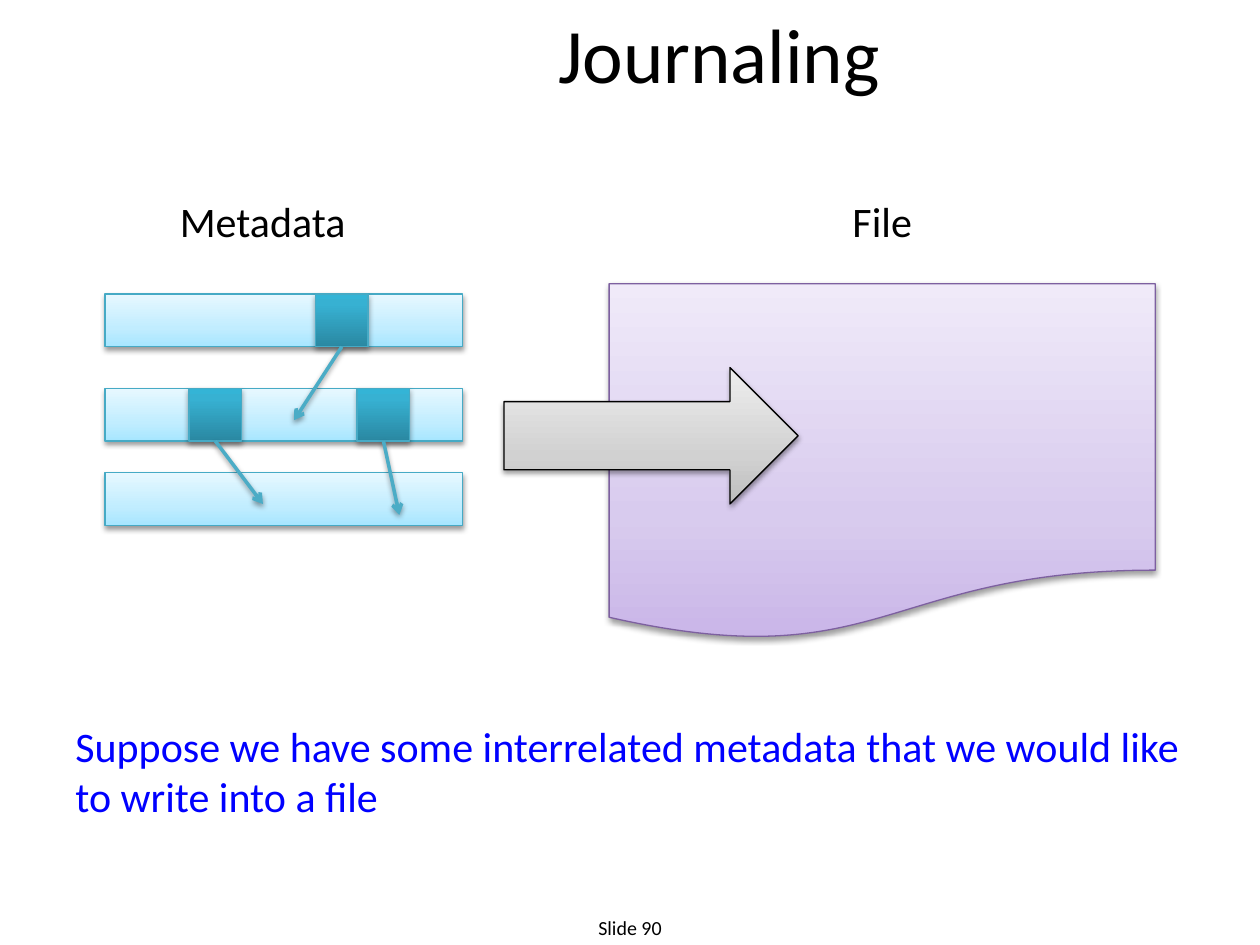
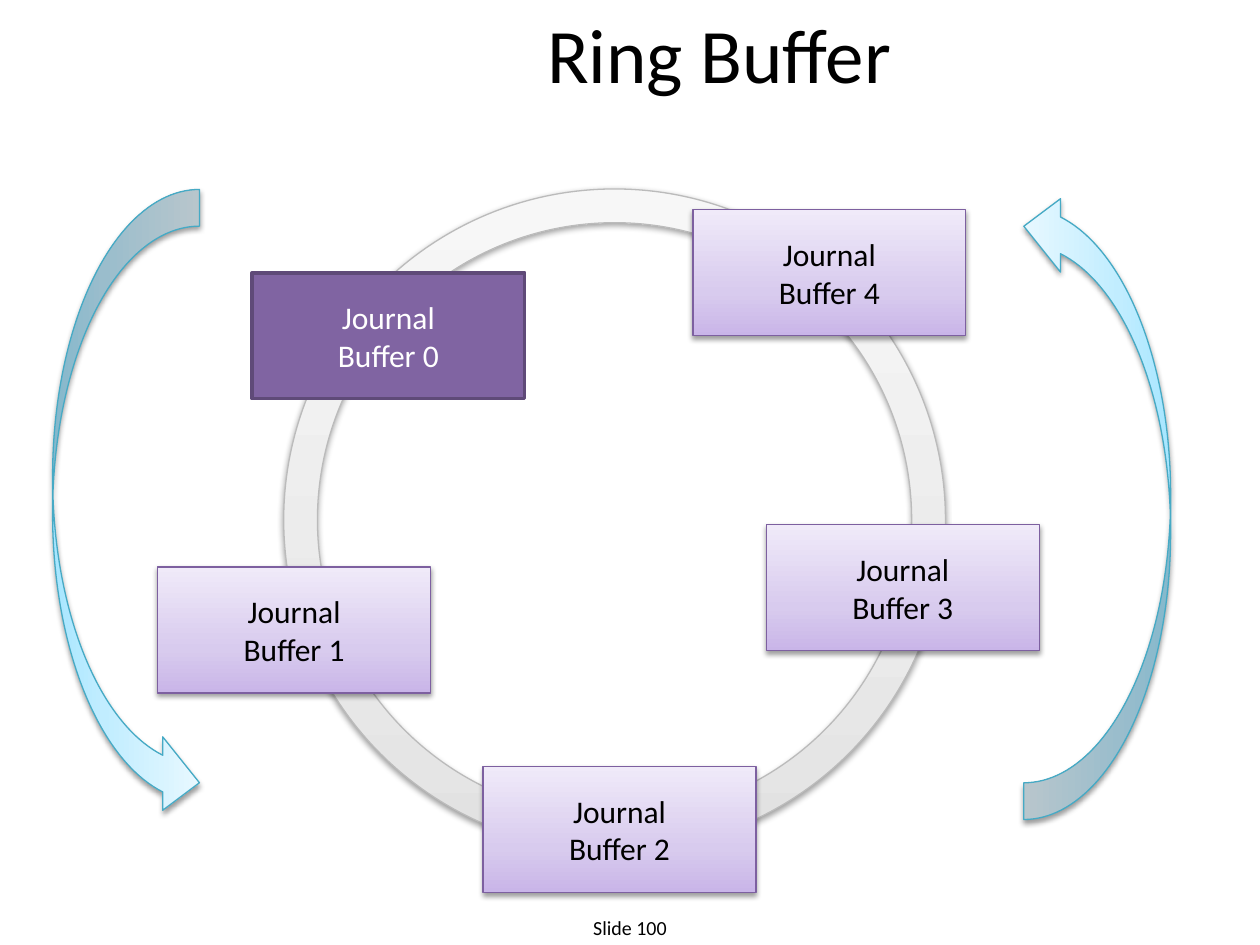
import copy

import pptx
import pptx.dml.color
import pptx.enum.shapes
import pptx.enum.text
import pptx.oxml
import pptx.oxml.ns
import pptx.util
from lxml import etree

Cm = pptx.util.Cm
Pt = pptx.util.Pt
RGB = pptx.dml.color.RGBColor
SHAPE = pptx.enum.shapes.MSO_SHAPE
ALIGN = pptx.enum.text.PP_ALIGN
ANCHOR = pptx.enum.text.MSO_ANCHOR
qn = pptx.oxml.ns.qn

FONT = "Calibri"
BLACK = RGB(0x00, 0x00, 0x00)
WHITE = RGB(0xFF, 0xFF, 0xFF)
BLUE = RGB(0x00, 0x00, 0xFF)
POINTER_TEAL = RGB(0x4B, 0xAC, 0xC6)
TEAL_EDGE = RGB(0x46, 0xAA, 0xC5)
PURPLE_EDGE = RGB(0x7D, 0x60, 0xA0)
RING_EDGE = RGB(0xBB, 0xBB, 0xBB)
ACTIVE_FILL = RGB(0x80, 0x64, 0xA2)
ACTIVE_EDGE = RGB(0x5F, 0x4A, 0x78)

# Gradients run from the bottom to the top: (position, colour)
PURPLE = [(0, RGB(0xC9, 0xB5, 0xE8)), (0.35, RGB(0xD8, 0xCB, 0xEE)), (1, RGB(0xF0, 0xEA, 0xF9))]
PALE_TEAL = [(0, RGB(0xA7, 0xE6, 0xFF)), (0.35, RGB(0xC1, 0xED, 0xFF)), (1, RGB(0xE7, 0xF8, 0xFF))]
DEEP_TEAL = [(0, RGB(0x2A, 0x88, 0xA2)), (0.8, RGB(0x37, 0xB1, 0xD2)), (1, RGB(0x34, 0xB4, 0xD6))]
GREY = [(0, RGB(0xBD, 0xBD, 0xBD)), (0.35, RGB(0xD1, 0xD1, 0xD1)), (1, RGB(0xEE, 0xEE, 0xEE))]
PALE_GREY = [(0, RGB(0xE2, 0xE2, 0xE2)), (0.35, RGB(0xEA, 0xEA, 0xEA)), (1, RGB(0xF7, 0xF7, 0xF7))]

SOFT_SHADOW = (38, 1.6)  # opacity in percent, distance in points
DEEP_SHADOW = (35, 1.8)


def write_text(frame, text, size=18, color=BLACK, align=ALIGN.CENTER,
               anchor=ANCHOR.TOP, line_spacing=1.0):
    frame.word_wrap = True
    frame.vertical_anchor = anchor
    frame.text = text
    for paragraph in frame.paragraphs:
        paragraph.alignment = align
        paragraph.line_spacing = line_spacing
        paragraph.font.name = FONT
        paragraph.font.size = Pt(size)
        paragraph.font.color.rgb = color


def add_label(slide, box, text, **text_format):
    label = slide.shapes.add_textbox(*map(Cm, box))
    write_text(label.text_frame, text, **text_format)


def fill_gradient(shape, stops):
    shape.fill.gradient()
    shape.fill.gradient_angle = 90
    stop_list = shape._element.spPr.find(".//" + qn("a:gsLst"))
    while len(stop_list) < len(stops):
        stop_list.append(copy.deepcopy(stop_list[0]))
    for stop, (position, color) in zip(shape.fill.gradient_stops, stops):
        stop.position = position
        stop.color.rgb = color


def add_shadow(effects, shadow):
    """Append a shadow that falls straight down to an a:effectLst."""
    opacity, distance = shadow
    outer = etree.SubElement(effects, qn("a:outerShdw"), blurRad=str(Pt(3.1)),
                             dist=str(Pt(distance)), dir="5400000", rotWithShape="0")
    black = etree.SubElement(outer, qn("a:srgbClr"), val="000000")
    etree.SubElement(black, qn("a:alpha"), val=str(opacity * 1000))


def add_block(slide, kind, box, fill, edge, edge_width=0.75, shadow=SOFT_SHADOW):
    """Add a preset shape; fill is one colour or a list of gradient stops."""
    block = slide.shapes.add_shape(kind, *map(Cm, box))
    if isinstance(fill, list):
        fill_gradient(block, fill)
    else:
        block.fill.solid()
        block.fill.fore_color.rgb = fill
    block.line.color.rgb = edge
    block.line.width = Pt(edge_width)
    block.shadow.inherit = False
    if shadow:
        add_shadow(block._element.spPr.find(qn("a:effectLst")), shadow)
    return block


def add_pointer(slide, start, tip):
    pointer = slide.shapes.add_connector(
        pptx.enum.shapes.MSO_CONNECTOR.STRAIGHT, *map(Cm, start + tip))
    pointer.line.color.rgb = POINTER_TEAL
    pointer.line.width = Pt(2)
    properties = pointer._element.spPr
    etree.SubElement(properties.find(qn("a:ln")), qn("a:tailEnd"), type="arrow")
    add_shadow(etree.SubElement(properties, qn("a:effectLst")), SOFT_SHADOW)


def start_slide(deck, title, number):
    slide = deck.slides.add_slide(deck.slide_layouts[6])
    add_label(slide, (10.16, 18.42, 5.08, 0.64), f"Slide {number}", size=11.4, line_spacing=0.8)
    add_label(slide, (3.6, 0, 21.8, 2.12), title, size=44, anchor=ANCHOR.MIDDLE)
    return slide


def draw_metadata(slide, left, top, width):
    """Draw three records, with cells that point into the record below."""
    cell = 1.06
    row_tops = [0, 1.9, 3.6]
    # row of the cell, its offset, and the point it refers to
    references = [(1, 1.69, (3.18, 4.23)), (1, 5.08, (5.93, 4.45)), (0, 4.24, (3.81, 2.54))]
    for row_top in row_tops:
        add_block(slide, SHAPE.RECTANGLE, (left, top + row_top, width, cell), PALE_TEAL, TEAL_EDGE)
    for row, offset, _ in references:
        add_block(slide, SHAPE.RECTANGLE, (left + offset, top + row_tops[row], cell, cell),
                  DEEP_TEAL, TEAL_EDGE, shadow=DEEP_SHADOW)
    for row, offset, (tip_x, tip_y) in references:
        start = (left + offset + cell / 2, top + row_tops[row] + cell)
        add_pointer(slide, start, (left + tip_x, top + tip_y))


def draw_file(slide, left, top, width, height):
    """Draw the file and the arrow that writes into it."""
    add_block(slide, SHAPE.FLOWCHART_DOCUMENT, (left, top, width, height), PURPLE, PURPLE_EDGE)
    add_block(slide, SHAPE.RIGHT_ARROW, (left - 2.12, top + 1.69, 5.93, 2.75), GREY, BLACK)


def build_journaling(deck):
    slide = start_slide(deck, "Journaling", 90)
    add_label(slide, (0.85, 3.81, 8.89, 1.48), "Metadata", size=24)
    add_label(slide, (12.28, 3.81, 11.01, 1.48), "File", size=24)
    draw_file(slide, 12.28, 5.72, 11.01, 7.2)
    draw_metadata(slide, 2.12, 5.93, 7.2)
    add_label(slide, (1.27, 14.39, 23.07, 3.39),
              "Suppose we have some interrelated metadata that we would like to write into a file",
              size=24, color=BLUE, align=ALIGN.LEFT)


def draw_buffers(slide, left, top, active=0):
    """Draw the journal buffers at their offsets from the ring's corner."""
    offsets = [(-0.64, 1.69), (-2.54, 7.62), (4.02, 11.64), (9.73, 6.77), (8.25, 0.42)]
    for number, (x, y) in enumerate(offsets):
        box = (left + x, top + y, 5.5, 2.54)
        if number == active:
            buffer = add_block(slide, SHAPE.RECTANGLE, box, ACTIVE_FILL, ACTIVE_EDGE,
                               edge_width=2, shadow=None)
        else:
            buffer = add_block(slide, SHAPE.RECTANGLE, box, PURPLE, PURPLE_EDGE)
        write_text(buffer.text_frame, f"Journal\nBuffer {number}", anchor=ANCHOR.MIDDLE,
                   color=WHITE if number == active else BLACK)


def draw_turn_arrow(slide, center_x, center_y, rotation):
    length, depth = 12.7, 2.96
    box = (center_x - length / 2, center_y - depth / 2, length, depth)
    add_block(slide, SHAPE.CURVED_UP_ARROW, box, PALE_TEAL, TEAL_EDGE).rotation = rotation


def build_ring_buffer(deck):
    slide = start_slide(deck, "Ring Buffer", 100)
    left, top, diameter = 5.72, 3.81, 13.34
    ring = add_block(slide, SHAPE.DONUT, (left, top, diameter, diameter), PALE_GREY, RING_EDGE)
    ring.adjustments[0] = 0.051
    draw_buffers(slide, left, top)
    for center_x, rotation in ((22.12, 270), (2.54, 90)):
        draw_turn_arrow(slide, center_x, 10.17, rotation)


def main():
    deck = pptx.Presentation()
    deck.slide_width, deck.slide_height = Cm(25.4), Cm(19.05)
    build_journaling(deck)
    build_ring_buffer(deck)
    deck.save("out.pptx")


if __name__ == "__main__":
    main()
